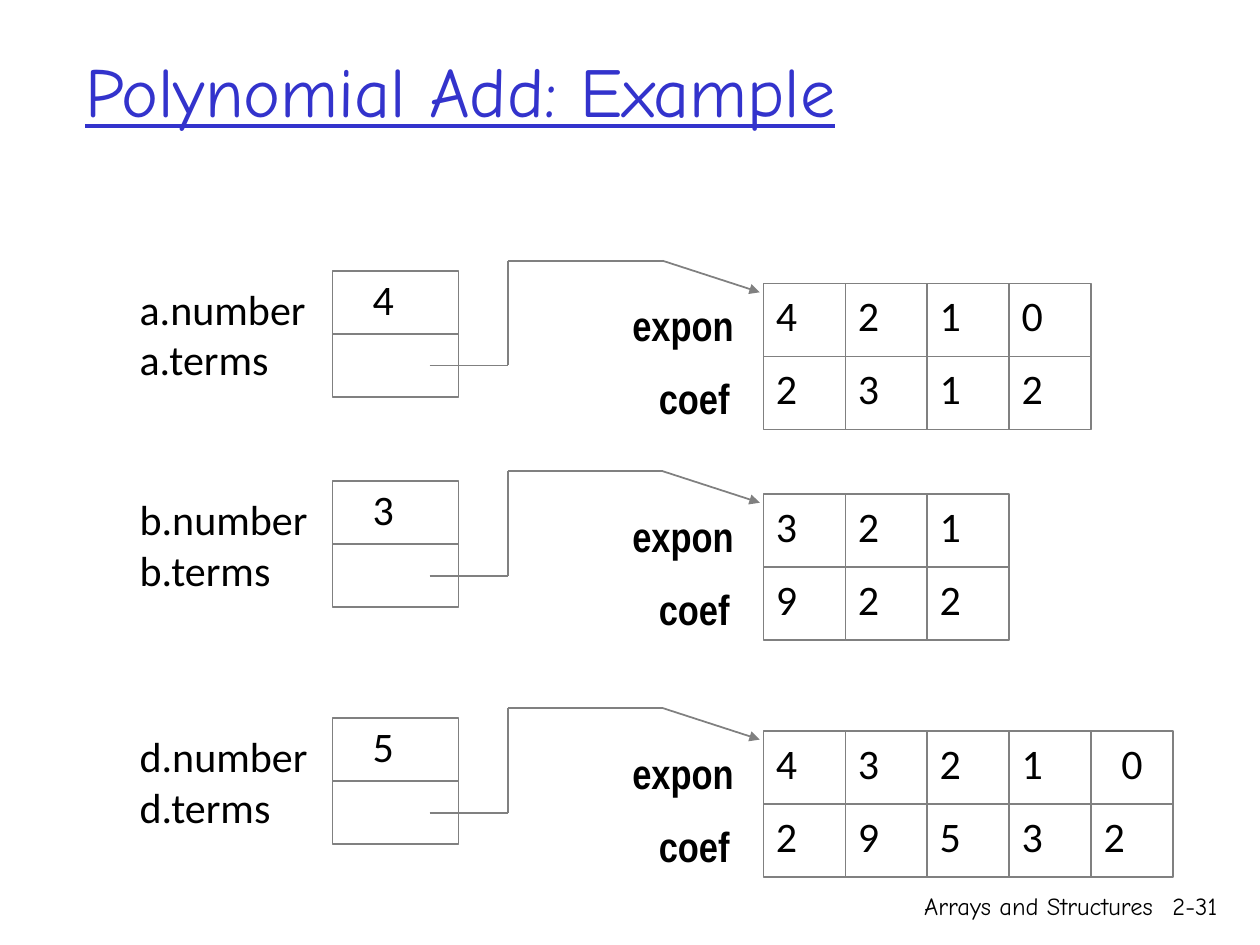
import pptx
import pptx.dml.color
import pptx.enum.shapes
import pptx.enum.text
import pptx.oxml.ns
import pptx.util
from lxml import etree

Inches = pptx.util.Inches
Align = pptx.enum.text.PP_ALIGN
Anchor = pptx.enum.text.MSO_ANCHOR
BLACK = pptx.dml.color.RGBColor(0x00, 0x00, 0x00)
GREY = pptx.dml.color.RGBColor(0x80, 0x80, 0x80)
BLUE = pptx.dml.color.RGBColor(0x33, 0x33, 0xCC)

CELL_WIDTH, CELL_HEIGHT = 0.65, 0.58
POLYNOMIALS = [
    ("a", 2.07, [4, 2, 1, 0], [2, 3, 1, 2]),
    ("b", 3.74, [3, 2, 1], [9, 2, 2]),
    ("d", 5.62, [4, 3, 2, 1, 0], [2, 9, 5, 3, 2]),
]


def write(shape, text, size=24, font="Calibri", color=BLACK, bold=None,
          underline=None, align=Align.LEFT, anchor=Anchor.TOP, wrap=False):
    """Put formatted text into a shape."""
    frame = shape.text_frame
    frame.text = text
    frame.word_wrap = wrap
    frame.vertical_anchor = anchor
    for para in frame.paragraphs:
        para.alignment = align
        for span in para.runs:
            span.font.size = pptx.util.Pt(size)
            span.font.name = font
            span.font.color.rgb = color
            span.font.bold = bold
            span.font.underline = underline


def add_text(shapes, left, top, width, height, text, **style):
    """Add a text box."""
    box = shapes.add_textbox(Inches(left), Inches(top), Inches(width), Inches(height))
    write(box, text, **style)


def add_box(shapes, left, top, width, height):
    """Add an unfilled rectangle with a grey outline."""
    box = shapes.add_shape(pptx.enum.shapes.MSO_SHAPE.RECTANGLE,
                           Inches(left), Inches(top), Inches(width), Inches(height))
    box.shadow.inherit = False
    box.fill.background()
    box.line.color.rgb = GREY
    box.line.width = pptx.util.Pt(1)
    return box


def add_line(shapes, start, end, arrow=False):
    """Add a straight grey line, with an arrowhead at its end if asked."""
    line = shapes.add_connector(pptx.enum.shapes.MSO_CONNECTOR.STRAIGHT,
                                *[Inches(length) for length in (*start, *end)])
    line.line.color.rgb = GREY
    line.line.width = pptx.util.Pt(1)
    properties = line._element.spPr
    etree.SubElement(properties, pptx.oxml.ns.qn("a:effectLst"))
    if arrow:
        etree.SubElement(line.line._get_or_add_ln(), pptx.oxml.ns.qn("a:tailEnd"),
                         type="triangle")
    return line


def add_structure(shapes, left, top, name, count):
    """Draw the number and terms fields of one polynomial."""
    add_text(shapes, left, top + 0.05, 1.72, 0.91, f"{name}.number\n{name}.terms")
    node_left, node_top = left + 1.63, top
    node = add_box(shapes, node_left, node_top, 1, 1)
    divider = add_line(shapes, (node_left, node_top + 0.5), (node_left + 1, node_top + 0.5))
    divider.begin_connect(node, 1)
    divider.end_connect(node, 3)
    add_text(shapes, node_left + 0.22, node_top - 0.03, 0.39, 0.51, str(count))


def add_pointer(shapes, left, top):
    """Draw the bent pointer from the terms field to the array."""
    points = [(left, top + 0.83), (left + 0.62, top + 0.83), (left + 0.62, top),
              (left + 1.85, top), (left + 2.62, top + 0.25)]
    for start, end in zip(points, points[1:]):
        add_line(shapes, start, end, arrow=end == points[-1])


def add_array(shapes, left, top, exponents, coefficients):
    """Draw the labelled rows of exponents and coefficients."""
    rows = [("expon", 1.14, 1.19, exponents), ("coef", 0.93, 0.89, coefficients)]
    for row, (label, offset, width, values) in enumerate(rows):
        row_top = top + row * CELL_HEIGHT
        add_text(shapes, left - offset, row_top + 0.08, width, 0.51, label,
                 font="Arial Narrow", bold=True)
        for column, value in enumerate(values):
            cell = add_box(shapes, left + column * CELL_WIDTH, row_top,
                           CELL_WIDTH, CELL_HEIGHT)
            centred = row == 0 and column == 4
            write(cell, str(value), align=Align.CENTER if centred else Align.LEFT)


def add_polynomial(page, left, top, name, exponents, coefficients):
    """Draw one polynomial as a group."""
    shapes = page.shapes.add_group_shape().shapes
    add_structure(shapes, left, top + 0.08, name, len(exponents))
    add_pointer(shapes, left + 2.4, top)
    add_array(shapes, left + 5.05, top + 0.18, exponents, coefficients)


def add_title(page, left, top):
    """Add the underlined title."""
    add_text(page.shapes, left, top, 8.5, 0.92, "Polynomial Add: Example", size=40,
             font="Comic Neue", color=BLUE, underline=True, anchor=Anchor.MIDDLE, wrap=True)


def add_footer(page, left, top):
    """Add the chapter name and the page number."""
    for offset, width, text in [(0, 3.17, "Arrays and Structures"), (3, 0.68, "2-31")]:
        add_text(page.shapes, left + offset, top, width, 0.5, text, size=14,
                 font="Comic Neue", align=Align.RIGHT, wrap=True)


def main():
    """Build the slide and save it."""
    deck = pptx.Presentation()
    deck.slide_width, deck.slide_height = Inches(10), Inches(7.5)
    page = deck.slides.add_slide(deck.slide_layouts[6])
    add_title(page, 0.58, 0.25)
    add_footer(page, 6.08, 7.02)
    for name, top, exponents, coefficients in POLYNOMIALS:
        add_polynomial(page, 1.01, top, name, exponents, coefficients)
    deck.save("out.pptx")


if __name__ == "__main__":
    main()
